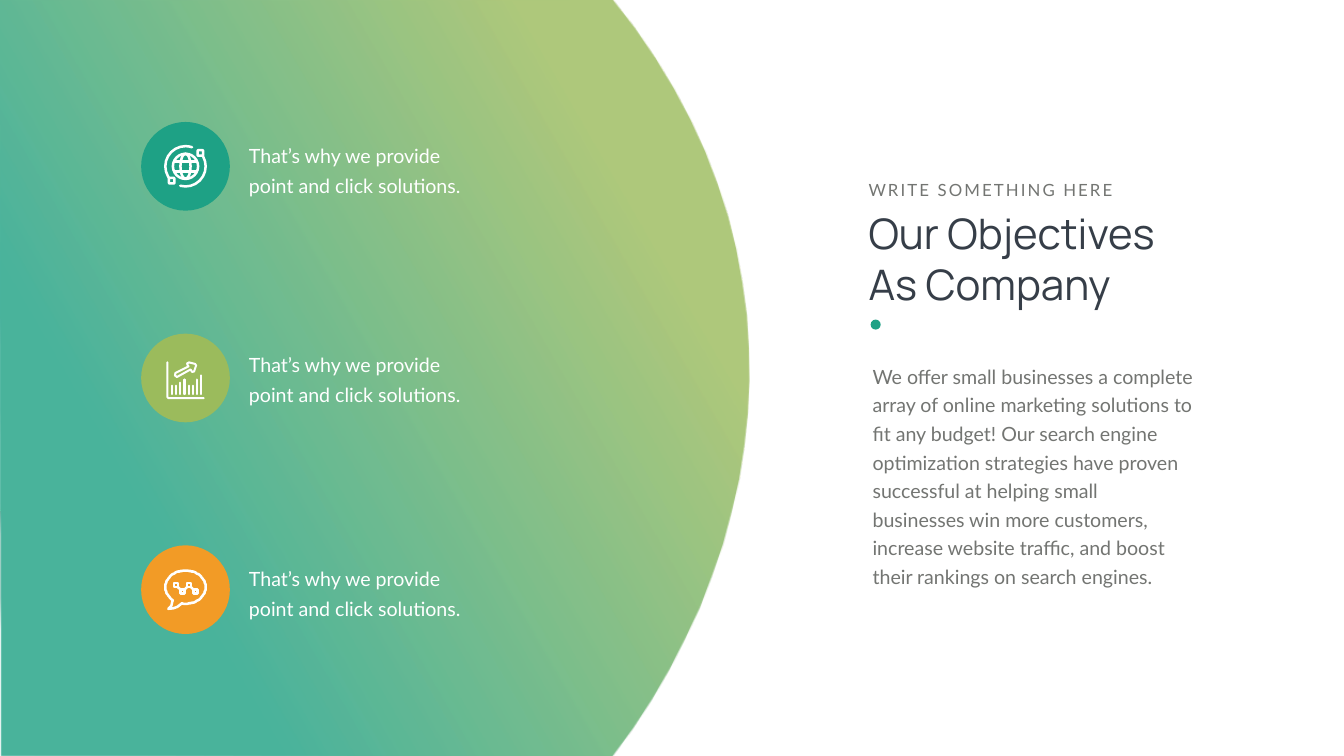
import math

from pptx import Presentation
from pptx import util as u
from pptx.dml.color import RGBColor
from pptx.enum import shapes, text
from pptx.oxml.ns import qn
from lxml import etree

SCALE = 9144
CENTER_X = 368
STROKE = 5
THIN = 4
COLORS = {
    "teal": "1EA185",
    "olive": "9BBB5C",
    "orange": "F29B26",
    "white": "FFFFFF",
    "ink": "363E48",
    "gray": "737572",
}
SHAPE = shapes.MSO_SHAPE


def px(value):
    return u.Emu(value * SCALE)


def color(name):
    return RGBColor.from_string(COLORS[name])


def add_preset(page, kind, left, top, width, height):
    shape = page.shapes.add_shape(kind, px(left), px(top), px(width), px(height))
    shape.shadow.inherit = False
    return shape


def add_dot(page, left, top, size, fill):
    dot = add_preset(page, SHAPE.OVAL, left, top, size, size)
    dot.fill.solid()
    dot.fill.fore_color.rgb = color(fill)
    dot.line.fill.background()


def add_path(page, contours):
    first, close = contours[0]
    builder = page.shapes.build_freeform(*first[0], scale=SCALE)
    builder.add_line_segments(first[1:], close=close)
    for points, close in contours[1:]:
        builder.move_to(*points[0])
        builder.add_line_segments(points[1:], close=close)
    shape = builder.convert_to_shape()
    shape.shadow.inherit = False
    return shape


def style_stroke(shape, weight):
    shape.line.color.rgb = color("white")
    shape.line.width = px(weight)
    shape._element.spPr.find(qn("a:ln")).set("cap", "rnd")


def stroke_preset(page, kind, left, top, width, height):
    shape = add_preset(page, kind, left, top, width, height)
    shape.fill.background()
    style_stroke(shape, STROKE)
    return shape


def stroke_path(page, contours, center_y, weight=STROKE):
    placed = [([(CENTER_X + x, center_y + y) for x, y in points], close)
              for points, close in contours]
    shape = add_path(page, placed)
    shape.fill.background()
    style_stroke(shape, weight)


def stroke_line(page, x1, y1, x2, y2, weight=STROKE):
    line = page.shapes.add_connector(
        shapes.MSO_CONNECTOR.STRAIGHT, px(x1), px(y1), px(x2), px(y2))
    style_stroke(line, weight)
    etree.SubElement(line._element.spPr, qn("a:effectLst"))


def add_text(page, left, top, width, height, words, font, size, fill,
             leading=None, wrap=True, tracking=None):
    box = page.shapes.add_textbox(px(left), px(top), px(width), px(height))
    frame = box.text_frame
    frame.word_wrap = wrap
    frame.auto_size = text.MSO_AUTO_SIZE.SHAPE_TO_FIT_TEXT
    frame.text = words
    para = frame.paragraphs[0]
    if leading:
        para.line_spacing = u.Pt(leading)
    span = para.runs[0]
    span.font.name = font
    span.font.size = u.Pt(size)
    span.font.color.rgb = color(fill)
    if tracking:
        span._r.get_or_add_rPr().set("spc", str(tracking * 100))


def bezier(p0, p1, p2, p3, steps=24):
    points = []
    for step in range(steps + 1):
        t = step / steps
        weights = ((1 - t) ** 3, 3 * t * (1 - t) ** 2, 3 * t * t * (1 - t), t ** 3)
        points.append(tuple(
            round(sum(w * p[axis] for w, p in zip(weights, (p0, p1, p2, p3))))
            for axis in (0, 1)))
    return points


def add_panel(page):
    edge = bezier((1213, -2), (1596, 464), (1558, 1051), (1213, 1502))
    left_side = bezier((3, 1499), (3, 999), (-3, 498), (-3, -1))
    panel = add_path(page, [(edge + left_side, True)])
    panel.line.fill.background()
    panel.fill.gradient()
    panel.fill.gradient_angle = 30
    stops = zip(panel.fill.gradient_stops, (("teal", 0.24), ("olive", 0.8)))
    for stop, (name, position) in stops:
        stop.color.rgb = color(name)
        stop.position = position
    for tint in panel._element.spPr.iter(qn("a:srgbClr")):
        etree.SubElement(tint, qn("a:alpha")).set("val", "80000")


def draw_globe(page, center_y):
    for width in (50, 20):
        stroke_preset(page, SHAPE.OVAL, CENTER_X - width // 2, center_y - 25, width, 50)
    for dy in (-10, 10):
        stroke_line(page, CENTER_X - 22, center_y + dy, CENTER_X + 22, center_y + dy)
    for start, end in ((332, 105), (146, 289)):
        arc = stroke_preset(page, SHAPE.ARC, CENTER_X - 40, center_y - 40, 80, 80)
        arc.adjustments[0] = start * 0.6
        arc.adjustments[1] = end * 0.6
    for dx, dy in ((24, -32), (-33, 23)):
        stroke_preset(page, SHAPE.ROUNDED_RECTANGLE, CENTER_X + dx, center_y + dy, 11, 11)


def draw_growth(page, center_y):
    axes = [(-36, -31), (-36, 38), (-34, 40), (36, 40)]
    stroke_path(page, [(axes, False)], center_y, THIN)
    bar_tops = (15, 15, 9, 3, 15, 15, 3, -5)
    for index, top in enumerate(bar_tops):
        x = CENTER_X - 27 + round(58 * index / 7)
        stroke_line(page, x, center_y + top, x, center_y + 32, THIN)
    arrow = [(-20, -10), (-21, -5), (-17, -2), (10, -17), (13, -12), (17, -13),
             (21, -25), (19, -28), (7, -31), (3, -29), (4, -26), (6, -23)]
    stroke_path(page, [(arrow, True)], center_y, THIN)


def draw_chat(page, center_y):
    angles = [math.radians(degree) for degree in range(128, 461, 4)]
    bubble = [(round(40 * math.cos(a)), round(33 * math.sin(a)) - 5) for a in angles]
    tail = [(-16, 34), (-24, 37), (-34, 38), (-28, 32), (-26, 23)]
    stroke_path(page, [(bubble + tail, True)], center_y)
    nodes = [(-19 + 13 * i, -9 + 13 * (i % 2)) for i in range(4)]
    corners = ((-4, -4), (4, -4), (4, 4), (-4, 4))
    zigzag = [([(x + dx, y + dy) for dx, dy in corners], True) for x, y in nodes]
    for (x1, y1), (x2, y2) in zip(nodes, nodes[1:]):
        lean = 4 if y2 > y1 else -4
        zigzag.append(([(x1 + 4, y1 + lean), (x2 - 4, y2 - lean)], False))
    stroke_path(page, zigzag, center_y)


def add_objective(page, center_y, fill, draw_icon, text_top):
    add_dot(page, CENTER_X - 88, center_y - 88, 176, fill)
    draw_icon(page, center_y)
    add_text(page, 484, text_top, 460, 125,
             "That’s why we provide point and click solutions.",
             "Lato", 28, "white", leading=43)


def add_message(page):
    add_text(page, 1713, 407, 673, 212, "Our Objectives As Company", "Manrope", 60, "ink")
    add_text(page, 1713, 352, 514, 50, "WRITE SOMETHING HERE", "Lato", 24, "gray",
             wrap=False, tracking=3)
    add_dot(page, 1727, 634, 20, "teal")
    add_text(page, 1721, 709, 659, 464,
             "We offer small businesses a complete array of online marketing solutions "
             "to fit any budget! Our search engine optimization strategies have proven "
             "successful at helping small businesses win more customers, increase "
             "website traffic, and boost their rankings on search engines.",
             "Lato", 28, "gray", leading=40.8)


def main():
    deck = Presentation()
    deck.slide_width, deck.slide_height = px(2666), px(1500)
    page = deck.slides.add_slide(deck.slide_layouts[6])
    add_panel(page)
    objectives = (
        ("teal", draw_globe, 267),
        ("olive", draw_growth, 682),
        ("orange", draw_chat, 1107),
    )
    for index, objective in enumerate(objectives):
        add_objective(page, 330 + 420 * index, *objective)
    add_message(page)
    deck.save("out.pptx")


if __name__ == "__main__":
    main()
